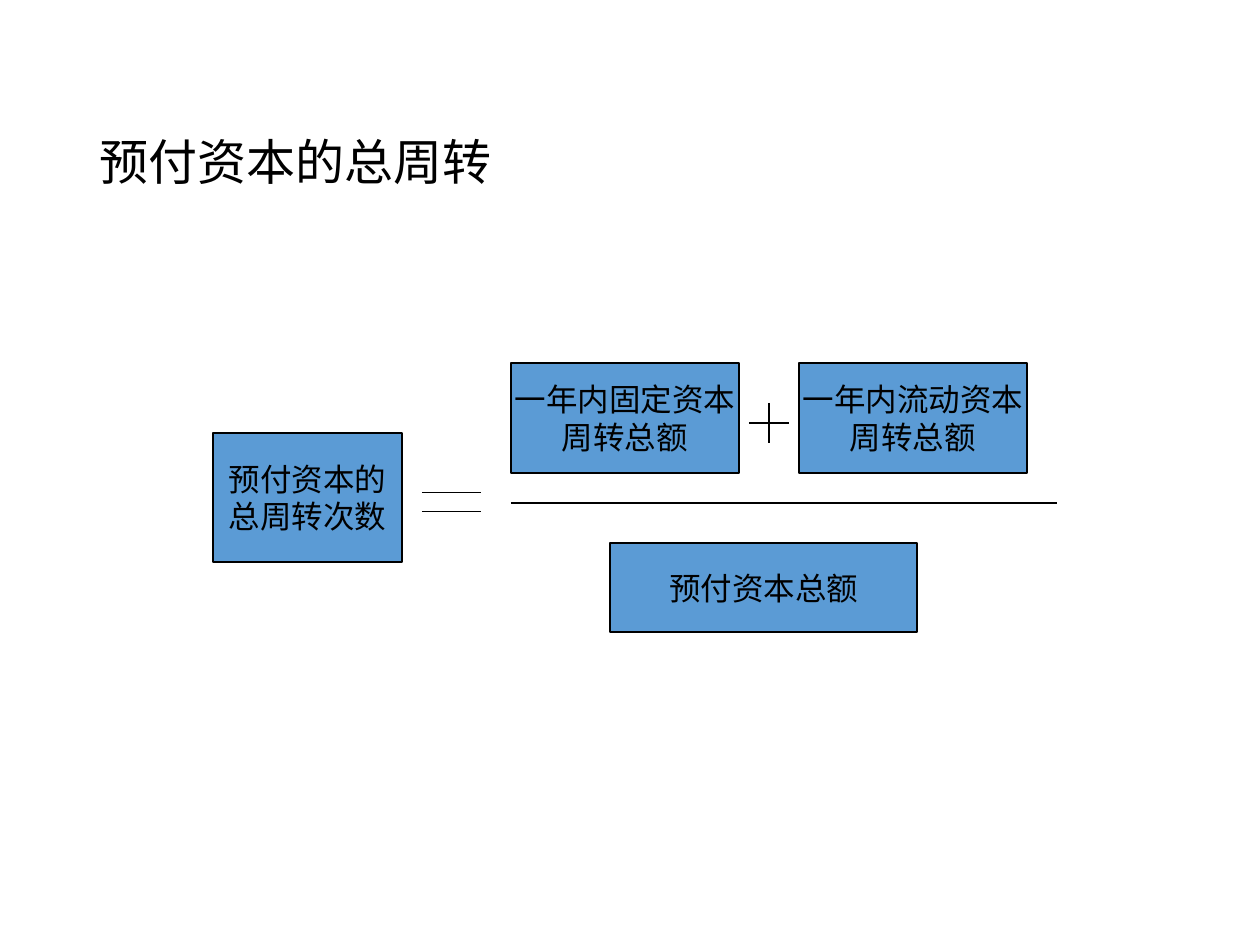
import dataclasses

import pptx
import pptx.dml.color
import pptx.enum.shapes
import pptx.enum.text
import pptx.oxml.ns
import pptx.util
from lxml import etree

PX = pptx.util.Inches(1) / 126


@dataclasses.dataclass(frozen=True)
class Theme:
    """Hold the colours, fonts and sizes of the slide."""
    ink: str = "000000"
    fill: str = "5B9BD5"
    title_font: str = "Noto Sans CJK SC"
    body_font: str = "Times New Roman"
    east_asian_font: str = "Noto Sans CJK SC"
    title_size: int = 28
    body_size: int = 18
    line_width: float = 0.75


THEME = Theme()


def px(*lengths):
    """Turn px lengths into EMU."""
    return [pptx.util.Emu(round(length * PX)) for length in lengths]


def color(value):
    """Return the colour of a hex value."""
    return pptx.dml.color.RGBColor.from_string(value)


def format_runs(paragraph, font_name, size):
    """Set the fonts, size and colour of every run in a paragraph."""
    for run in paragraph.runs:
        run.font.name = font_name
        run.font.size = pptx.util.Pt(size)
        run.font.color.rgb = color(THEME.ink)
        latin = run.font._element.find(pptx.oxml.ns.qn("a:latin"))
        east_asian = etree.Element(pptx.oxml.ns.qn("a:ea"), typeface=THEME.east_asian_font)
        latin.addnext(east_asian)


def format_line(line):
    """Set the colour and width of an outline or rule."""
    line.color.rgb = color(THEME.ink)
    line.width = pptx.util.Pt(THEME.line_width)


def add_title(slide, box, text):
    """Place and format the title placeholder."""
    title = slide.shapes.title
    title.left, title.top, title.width, title.height = px(*box)
    text_frame = title.text_frame
    text_frame.text = text
    text_frame.word_wrap = True
    text_frame.vertical_anchor = pptx.enum.text.MSO_ANCHOR.MIDDLE
    paragraph = text_frame.paragraphs[0]
    paragraph.alignment = pptx.enum.text.PP_ALIGN.LEFT
    paragraph.line_spacing = 0.9
    format_runs(paragraph, THEME.title_font, THEME.title_size)


def add_term(slide, box, text):
    """Add a filled box with a centred term of the equation."""
    shape = slide.shapes.add_shape(pptx.enum.shapes.MSO_SHAPE.RECTANGLE, *px(*box))
    shape.shadow.inherit = False
    shape.fill.solid()
    shape.fill.fore_color.rgb = color(THEME.fill)
    format_line(shape.line)
    text_frame = shape.text_frame
    text_frame.text = text
    text_frame.word_wrap = False
    text_frame.vertical_anchor = pptx.enum.text.MSO_ANCHOR.MIDDLE
    for paragraph in text_frame.paragraphs:
        paragraph.alignment = pptx.enum.text.PP_ALIGN.CENTER
        format_runs(paragraph, THEME.body_font, THEME.body_size)


def add_rule(slide, *ends):
    """Add a straight line between two points."""
    connector = slide.shapes.add_connector(
        pptx.enum.shapes.MSO_CONNECTOR.STRAIGHT, *px(*ends))
    format_line(connector.line)
    properties = connector._element.spPr
    etree.SubElement(properties, pptx.oxml.ns.qn("a:effectLst"))


def add_equals(slide, left, middle, width, gap):
    """Draw an equals sign around a middle height."""
    for y in (middle - gap / 2, middle + gap / 2):
        add_rule(slide, left, y, left + width, y)


def add_plus(slide, x, y, arm):
    """Draw a plus sign around a centre."""
    add_rule(slide, x - arm, y, x + arm, y)
    add_rule(slide, x, y - arm, x, y + arm)


def add_fraction(slide, box, numerators, denominator):
    """Place the numerator terms, the bar and the denominator."""
    left, top, width, height = box
    term_width, term_height, step = 228, 110, 288
    bar = top + 140
    add_rule(slide, left, bar, left + width, bar)
    for index, text in enumerate(numerators):
        add_term(slide, (left + index * step, top, term_width, term_height), text)
    add_plus(slide, left + (step + term_width) / 2, top + 60, 20)
    add_term(slide, (left + 99, top + height - 89, 307, 89), denominator)


def add_equation(slide, box):
    """Place the result, the equals sign and the fraction."""
    left, top, width, height = box
    add_term(slide, (left, top + 70, 189, 129), "预付资本的\n总周转次数")
    add_equals(slide, left + 209, top + 139, 59, 19)
    add_fraction(slide, (left + 298, top, width - 298, height),
                 ("一年内固定资本\n周转总额", "一年内流动资本\n周转总额"), "预付资本总额")


def main():
    """Build and save the presentation."""
    presentation = pptx.Presentation()
    presentation.slide_width, presentation.slide_height = px(1260, 945)
    slide = presentation.slides.add_slide(presentation.slide_layouts.get_by_name("Title Only"))
    add_title(slide, (87, 111, 793, 107), "预付资本的总周转")
    add_equation(slide, (213, 363, 844, 269))
    presentation.save("out.pptx")


if __name__ == "__main__":
    main()
